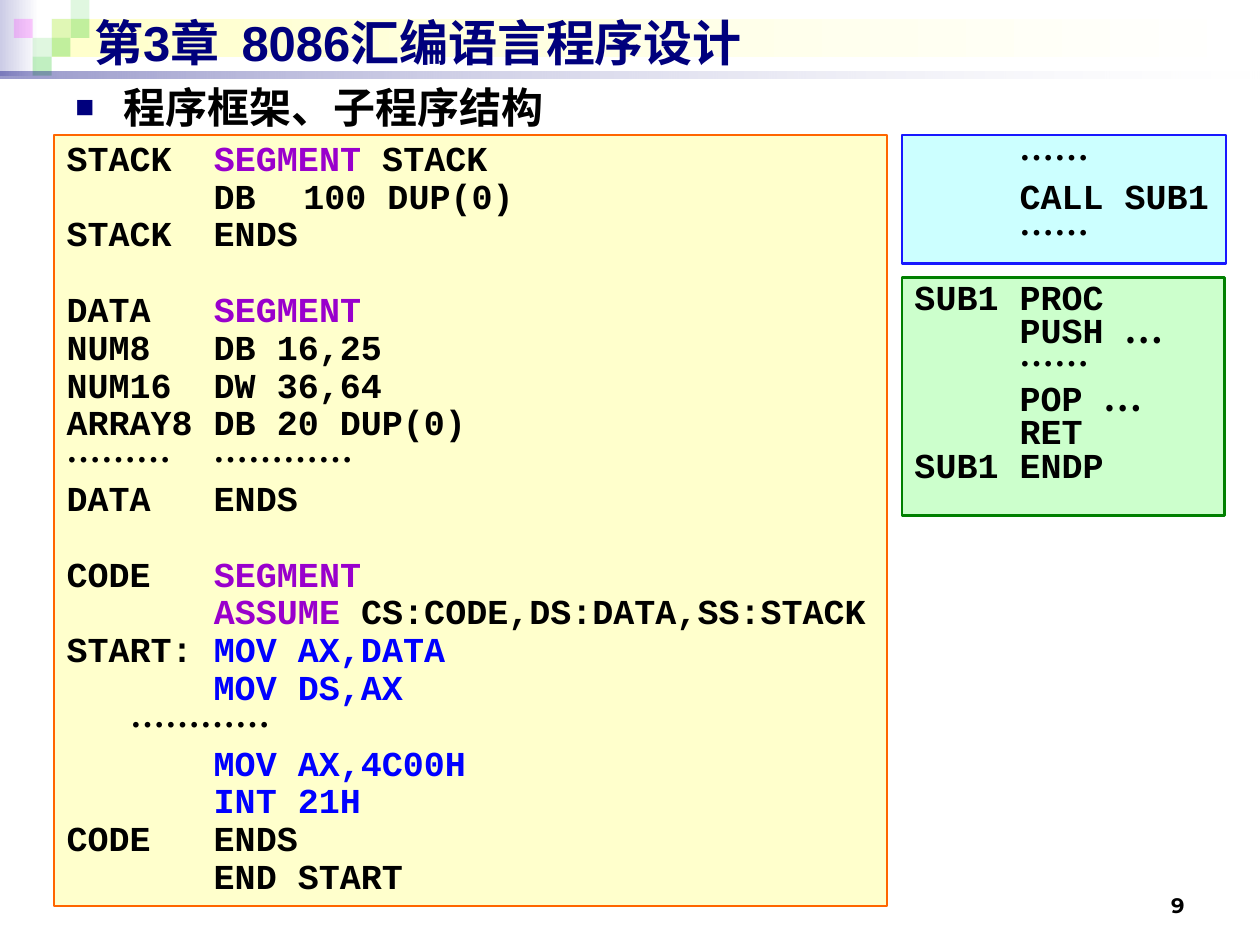
from lxml.etree import SubElement as Sub
from pptx import Presentation
from pptx.dml.color import RGBColor as RGB
from pptx.enum.shapes import MSO_SHAPE as Form
from pptx.enum.text import MSO_ANCHOR as Anchor, PP_ALIGN as Align
from pptx.oxml.ns import qn
from pptx.util import Inches, Pt

BLACK, WHITE = RGB(0, 0, 0), RGB(255, 255, 255)
NAVY, LILAC = RGB(0, 0, 0x7D), RGB(0xCC, 0xCC, 0xE6)
GREEN, PINK = RGB(0x33, 0xCC, 0x33), RGB(0xFF, 0, 0xFF)
CREAM, ORANGE = RGB(0xFF, 0xFF, 0xCC), RGB(0xFF, 0x66, 0)
MINT, FOREST = RGB(0xCC, 0xFF, 0xCC), RGB(0, 0x80, 0)
AQUA, ROYAL = RGB(0xCC, 0xFF, 0xFF), RGB(0x18, 0x18, 0xFF)
VIOLET, BLUE = RGB(0x99, 0, 0xCC), RGB(0, 0, 0xFF)
CJK, MONO = "Noto Sans CJK SC", "Courier New"

deck = Presentation()
deck.slide_width, deck.slide_height = Inches(10), Inches(7.5)
slide = deck.slides.add_slide(deck.slide_layouts[6])
U = deck.slide_width / 100  # one grid step: a hundredth of the width


def block(x, y, w, h, fills, alphas=(), edge=None):
    """A rectangle on the grid; two fills make a gradient to the right."""
    shape = slide.shapes.add_shape(Form.RECTANGLE, *(round(v * U) for v in (x, y, w, h)))
    shape.shadow.inherit = False
    if len(fills) == 2:
        shape.fill.gradient()
        shape.fill.gradient_angle = 0
        for stop, tone in zip(shape.fill.gradient_stops, fills):
            stop.color.rgb = tone
    else:
        shape.fill.solid()
        shape.fill.fore_color.rgb = fills[0]
    tones = list(shape._element.spPr.iter(qn("a:srgbClr")))
    for tone, alpha in zip(tones, alphas):
        Sub(tone, qn("a:alpha"), val=str(alpha * 1000))
    if edge:
        shape.line.color.rgb, shape.line.width = edge, Pt(1.5)
    else:
        shape.line.fill.background()
    return shape


def write(par, text, face, east, size, tone):
    """Add one bold run with a Latin and an East Asian face."""
    run = par.add_run()
    run.text = text
    run.font.color.rgb = tone
    for key, value in dict(name=face, size=Pt(size), bold=True).items():
        setattr(run.font, key, value)
    Sub(run.font._element, qn("a:ea"), typeface=east)


# Header bands and mosaic
block(0, 0, 3.1, 6, (LILAC, WHITE))
block(4.1, 1.5, 95.5, 3, (CREAM, WHITE))
for col, row, tone, alpha in (
    (2, 1, GREEN, 15), (3, 0, GREEN, 15), (3, 1, GREEN, 30), (1, 2, GREEN, 15),
    (0, 1, PINK, 20), (2, 2, GREEN, 30), (1, 3, GREEN, 30),
):
    block(1.1 + 1.5 * col, 1.5 * row, 1.5, 1.5, (tone,), (alpha,))
block(0, 5.7, 100, 0.5, (NAVY, WHITE), (40, 10))

# Title, subtitle and page number
for area, text, face, size, tone, anchor, form in (
    ((6.5, 0.5, 90, 5.7), "第3章  8086汇编语言程序设计", "Arial", 28, NAVY, Anchor.MIDDLE, {}),
    ((5, 6, 91.5, 5.7), "程序框架、子程序结构", "Times New Roman", 24, BLACK, Anchor.TOP, {}),
    ((71.7, 69.8, 23.3, 3.5), "9", "Montserrat", 12, BLACK, Anchor.BOTTOM,
     {"alignment": Align.RIGHT}),
):
    frame = slide.shapes.add_textbox(*(round(v * U) for v in area)).text_frame
    frame.word_wrap, frame.vertical_anchor = True, anchor
    par = frame.paragraphs[0]
    for key, value in form.items():
        setattr(par, key, value)
    if size == 24:
        props = par._p.get_or_add_pPr()
        props.set("marL", str(Inches(0.38)))
        props.set("indent", str(-Inches(0.38)))
        Sub(Sub(props, qn("a:buClr")), qn("a:srgbClr"), val=str(NAVY))
        Sub(props, qn("a:buSzPct"), val="75000")
        Sub(props, qn("a:buFont"), typeface="Arial")
        Sub(props, qn("a:buChar"), char="■")
    write(par, text, face, CJK, size, tone)

# Code: a line is a list of (text, style) parts; None opens a gap
STYLES = {"k": (MONO, BLACK), "v": (MONO, VIOLET), "b": (MONO, BLUE), "e": (CJK, BLACK)}
MAIN = [
    [("STACK  ", "k"), ("SEGMENT", "v"), (" STACK", "k")],
    [("       DB\t100 DUP(0)", "k")],
    [("STACK  ENDS", "k")],
    None,
    [("DATA   ", "k"), ("SEGMENT", "v")],
    [("NUM8   DB 16,25", "k")],
    [("NUM16  DW 36,64", "k")],
    [("ARRAY8 DB 20 DUP(0)", "k")],
    [("………", "e"), ("  ", "k"), ("…………", "e")],
    [("DATA   ENDS", "k")],
    None,
    [("CODE   ", "k"), ("SEGMENT", "v")],
    [("       ", "k"), ("ASSUME", "v"), (" CS:CODE,DS:DATA,SS:STACK", "k")],
    [("START:", "k"), (" MOV AX,DATA", "b")],
    [("       MOV DS,AX", "b")],
    [("        …………", "e")],
    [("       MOV AX,4C00H", "b")],
    [("       INT 21H", "b")],
    [("CODE   ENDS", "k")],
    [("       END START", "k")],
]
DOTS = [("     ", "k"), ("……", "e")]
SUB = [
    [("SUB1 PROC", "k")],
    [("     PUSH ", "k"), ("…", "e")],
    DOTS,
    [("     POP ", "k"), ("…", "e")],
    [("     RET", "k")],
    [("SUB1 ENDP", "k")],
]
CALL = [DOTS, [("     CALL SUB1", "k")], DOTS]

for area, fill, edge, pitch, lines in (
    ((4.3, 10.7, 66.1, 61.2), CREAM, ORANGE, 0.9, MAIN),
    ((71.6, 22, 25.6, 18.9), MINT, FOREST, 0.8, SUB),
    ((71.6, 10.7, 25.7, 10.2), AQUA, ROYAL, 0.9, CALL),
):
    frame = block(*area, (fill,), edge=edge).text_frame
    frame.word_wrap, frame.vertical_anchor = True, Anchor.TOP
    gap = 0
    for i, line in enumerate(lines):
        if line is None:
            gap = 21.6
            continue
        par = frame.add_paragraph() if i else frame.paragraphs[0]
        form = dict(alignment=Align.LEFT, line_spacing=pitch, space_before=Pt(gap))
        for key, value in form.items():
            setattr(par, key, value)
        gap = 0
        props = par._p.get_or_add_pPr()
        props.set("marL", str(Inches(0.38)))
        props.set("indent", str(-Inches(0.38)))
        if "\t" in line[0][0]:
            Sub(Sub(props, qn("a:tabLst")), qn("a:tab"), pos=str(Inches(2)), algn="l")
        for text, style in line:
            face, tone = STYLES[style]
            write(par, text, face, CJK, 20, tone)

deck.save("out.pptx")
